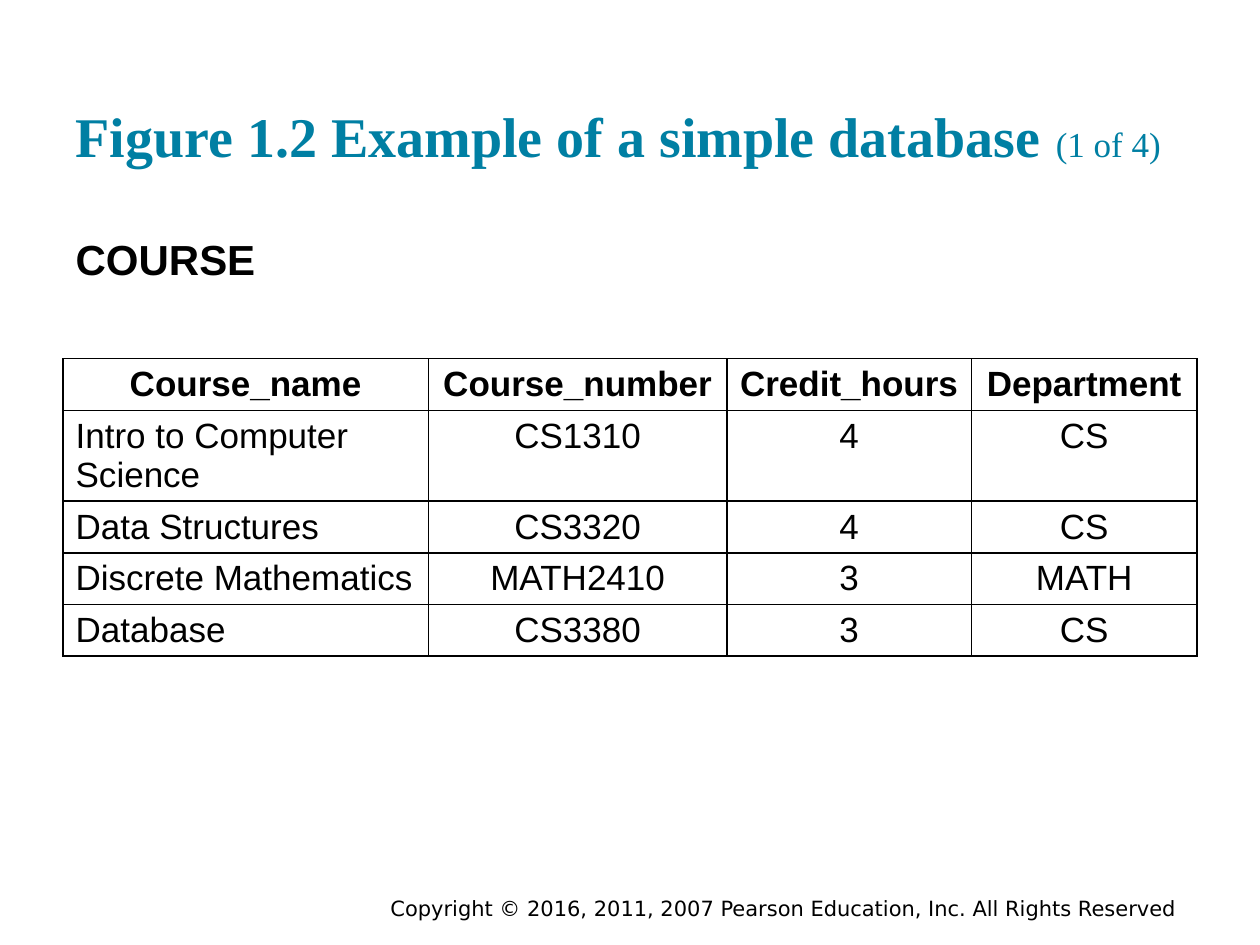
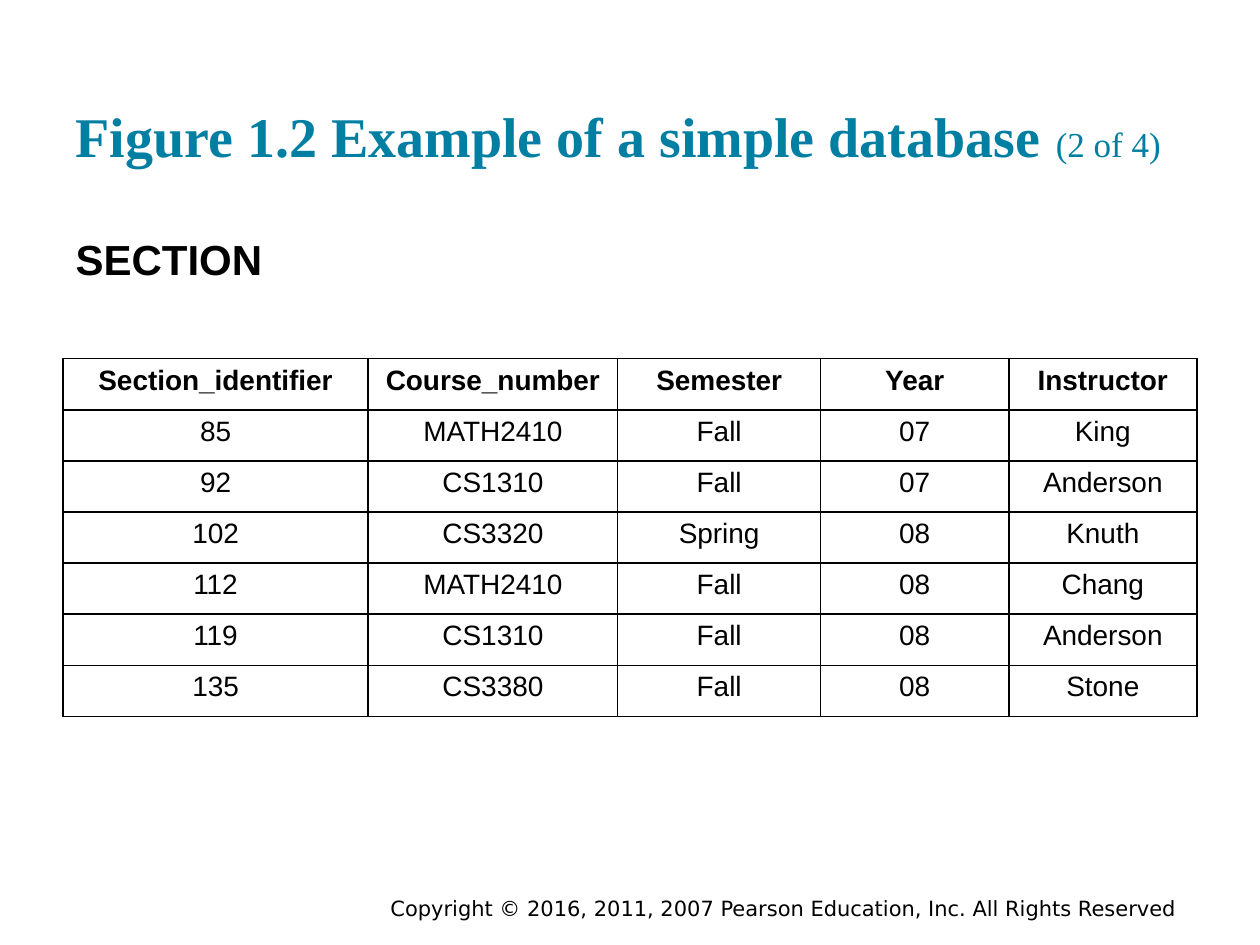
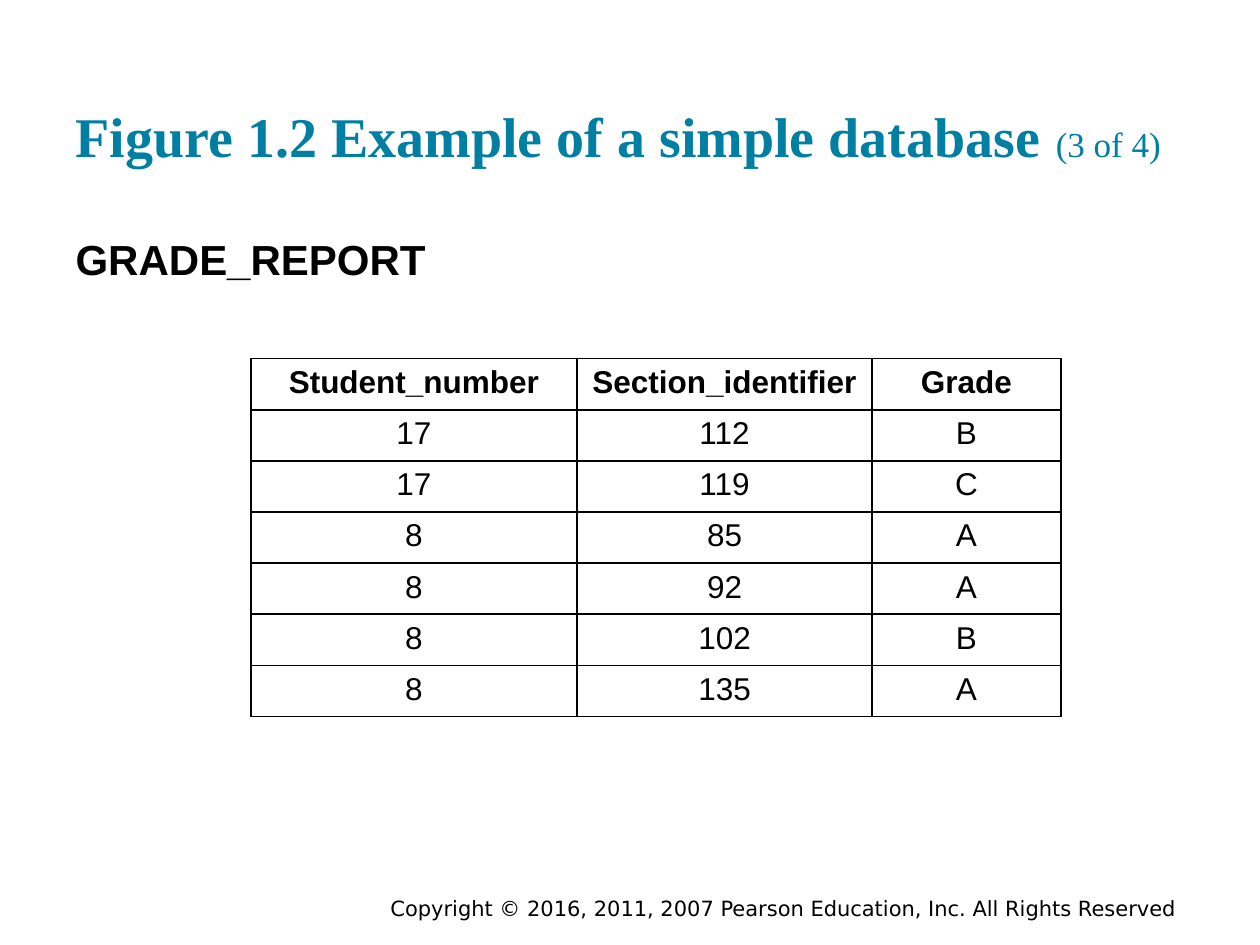
from dataclasses import dataclass

from lxml.etree import SubElement
from pptx import Presentation
from pptx.dml.color import RGBColor
from pptx.enum.text import MSO_ANCHOR, MSO_AUTO_SIZE, PP_ALIGN
from pptx.oxml.ns import qn
from pptx.slide import Slide
from pptx.table import _Cell
from pptx.text.text import Font, TextFrame
from pptx.util import Pt


@dataclass(frozen=True)
class Theme:
    title_color: RGBColor = RGBColor(0x00, 0x7F, 0xA3)
    text_color: RGBColor = RGBColor(0x00, 0x00, 0x00)
    cell_color: RGBColor = RGBColor(0xFF, 0xFF, 0xFF)
    title_font: str = "Times New Roman"
    text_font: str = "Arial"
    footer_font: str = "DejaVu Sans"
    title_size: float = 32
    counter_size: float = 20
    heading_size: float = 24
    footer_size: float = 12
    border_width: float = 1


@dataclass(frozen=True)
class Box:
    left: float
    top: float
    width: float
    height: float


@dataclass(frozen=True)
class Relation:
    name: str
    left: float
    widths: tuple[float, ...]
    size: float
    rows: tuple[tuple[str, ...], ...]
    left_aligned: tuple[int, ...] = ()


THEME = Theme()
TITLE_BOX = Box(36, 17.3, 648, 86.4)
HEADING_BOX = Box(36, 126, 648, 38.9)
FOOTER_BOX = Box(216, 509.8, 478.8, 18)
TABLE_TOP = 205
ROW_HEIGHT = 29.2
INSET = 7.2
FIGURE_COUNT = 4
TITLE = "Figure 1.2 Example of a simple database "
FOOTER = "Copyright © 2016, 2011, 2007 Pearson Education, Inc. All Rights Reserved"

RELATIONS = (
    Relation(
        "COURSE", 36, (208.8, 170.6, 139.7, 128.9), 20,
        (
            ("Course_name", "Course_number", "Credit_hours", "Department"),
            ("Intro to Computer Science", "CS1310", "4", "CS"),
            ("Data Structures", "CS3320", "4", "CS"),
            ("Discrete Mathematics", "MATH2410", "3", "MATH"),
            ("Database", "CS3380", "3", "CS"),
        ),
        left_aligned=(0,),
    ),
    Relation(
        "SECTION", 36, (174.4, 142.6, 116, 107.5, 107.5), 16,
        (
            ("Section_identifier", "Course_number", "Semester", "Year", "Instructor"),
            ("85", "MATH2410", "Fall", "07", "King"),
            ("92", "CS1310", "Fall", "07", "Anderson"),
            ("102", "CS3320", "Spring", "08", "Knuth"),
            ("112", "MATH2410", "Fall", "08", "Chang"),
            ("119", "CS1310", "Fall", "08", "Anderson"),
            ("135", "CS3380", "Fall", "08", "Stone"),
        ),
    ),
    Relation(
        "GRADE_REPORT", 143.3, (186.5, 168.5, 108), 18,
        (
            ("Student_number", "Section_identifier", "Grade"),
            ("17", "112", "B"),
            ("17", "119", "C"),
            ("8", "85", "A"),
            ("8", "92", "A"),
            ("8", "102", "B"),
            ("8", "135", "A"),
        ),
    ),
)


def style_font(font: Font, name: str, size: float, color: RGBColor, bold: bool) -> None:
    font.name = name
    font.size = Pt(size)
    font.bold = bold
    font.color.rgb = color


def place_text(shape, box: Box, anchor: MSO_ANCHOR, inset: float = INSET) -> TextFrame:
    shape.left, shape.top = Pt(box.left), Pt(box.top)
    shape.width, shape.height = Pt(box.width), Pt(box.height)
    frame = shape.text_frame
    frame.word_wrap = True
    frame.auto_size = MSO_AUTO_SIZE.NONE
    frame.vertical_anchor = anchor
    frame.margin_left = frame.margin_right = Pt(INSET)
    frame.margin_top = frame.margin_bottom = Pt(inset)
    return frame


def add_title(page: Slide, number: int) -> None:
    para = place_text(page.shapes.title, TITLE_BOX, MSO_ANCHOR.BOTTOM).paragraphs[0]
    para.alignment = PP_ALIGN.LEFT
    style_font(para.font, THEME.title_font, THEME.title_size, THEME.title_color, True)
    para.add_run().text = TITLE
    counter = para.add_run()
    counter.text = f"({number} of {FIGURE_COUNT})"
    counter.font.size = Pt(THEME.counter_size)
    counter.font.bold = False


def add_heading(page: Slide, text: str) -> None:
    para = place_text(page.placeholders[1], HEADING_BOX, MSO_ANCHOR.TOP).paragraphs[0]
    para.text = text
    para.space_before = Pt(0)
    properties = para._p.get_or_add_pPr()
    properties.set("marL", "0")
    properties.set("indent", "0")
    SubElement(properties, qn("a:buNone"))
    style_font(para.font, THEME.text_font, THEME.heading_size, THEME.text_color, True)


def add_footer(page: Slide) -> None:
    shape = page.shapes.add_textbox(0, 0, 0, 0)
    para = place_text(shape, FOOTER_BOX, MSO_ANCHOR.MIDDLE, inset=0).paragraphs[0]
    para.text = FOOTER
    style_font(para.font, THEME.footer_font, THEME.footer_size, THEME.text_color, False)


def add_borders(cell: _Cell) -> None:
    properties = cell._tc.get_or_add_tcPr()
    for side in ("lnL", "lnR", "lnT", "lnB"):
        line = SubElement(properties, qn(f"a:{side}"), w=str(Pt(THEME.border_width)))
        fill = SubElement(line, qn("a:solidFill"))
        SubElement(fill, qn("a:srgbClr"), val=str(THEME.text_color))


def fill_cell(cell: _Cell, text: str, size: float, header: bool, centered: bool) -> None:
    add_borders(cell)
    cell.fill.solid()
    cell.fill.fore_color.rgb = THEME.cell_color
    para = cell.text_frame.paragraphs[0]
    para.text = text
    para.alignment = PP_ALIGN.CENTER if centered else PP_ALIGN.LEFT
    style_font(para.font, THEME.text_font, size, THEME.text_color, header)


def add_relation_table(page: Slide, relation: Relation) -> None:
    row_count = len(relation.rows)
    table = page.shapes.add_table(
        row_count, len(relation.widths), Pt(relation.left), Pt(TABLE_TOP),
        Pt(sum(relation.widths)), Pt(ROW_HEIGHT * row_count),
    ).table
    table.first_row = table.horz_banding = False
    for column, width in zip(table.columns, relation.widths):
        column.width = Pt(width)
    for row_index, values in enumerate(relation.rows):
        table.rows[row_index].height = Pt(ROW_HEIGHT)
        header = row_index == 0
        for column_index, text in enumerate(values):
            centered = header or column_index not in relation.left_aligned
            fill_cell(table.cell(row_index, column_index), text, relation.size, header, centered)


def main() -> None:
    deck = Presentation()
    deck.slide_width, deck.slide_height = Pt(720), Pt(540)
    for number, relation in enumerate(RELATIONS, start=1):
        page = deck.slides.add_slide(deck.slide_layouts[1])
        add_footer(page)
        add_title(page, number)
        add_heading(page, relation.name)
        add_relation_table(page, relation)
    deck.save("out.pptx")


if __name__ == "__main__":
    main()
